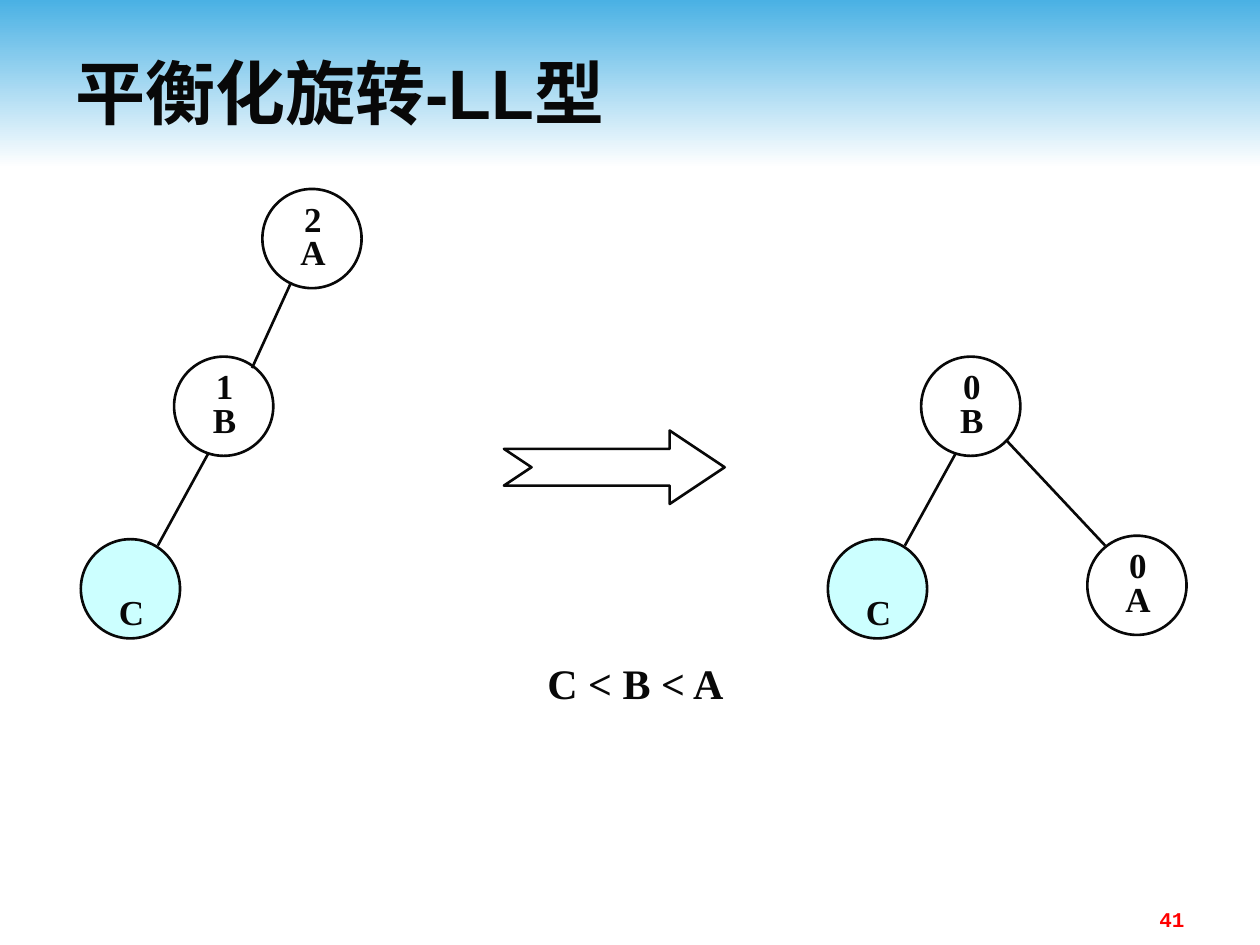
from lxml import etree
from pptx import Presentation
from pptx.dml.color import RGBColor
from pptx.enum.shapes import MSO_CONNECTOR, MSO_SHAPE
from pptx.enum.text import MSO_ANCHOR, PP_ALIGN
from pptx.oxml.ns import qn
from pptx.util import Cm, Pt

STRAIGHT = MSO_CONNECTOR.STRAIGHT
RECTANGLE, OVAL = MSO_SHAPE.RECTANGLE, MSO_SHAPE.OVAL
NOTCHED_ARROW = MSO_SHAPE.NOTCHED_RIGHT_ARROW
MIDDLE = MSO_ANCHOR.MIDDLE
LEFT, CENTER, RIGHT = PP_ALIGN.LEFT, PP_ALIGN.CENTER, PP_ALIGN.RIGHT

INK = RGBColor(0x08, 0x08, 0x08)
SKY = RGBColor(0x4A, 0xB1, 0xE4)
WHITE = RGBColor(0xFF, 0xFF, 0xFF)
RED = RGBColor(0xFF, 0x00, 0x00)
NEW_NODE = RGBColor(0xCC, 0xFF, 0xFF)

SERIF = "Times New Roman"
NODE_SIZE = 2
LABEL_LEFT, LABEL_WIDTH = 0.6, 0.84
LINE_PITCH = 0.67

# Nodes: key, balance factor (None for the inserted node), left, top.
# Edges: start x, start y, end x, end y. All in cm from the tree's corner.
UNBALANCED_NODES = [("A", "2", 3.66, 0), ("B", "1", 1.88, 3.38), ("C", None, 0, 7.06)]
UNBALANCED_EDGES = [(4.24, 1.88, 3.45, 3.61), (2.57, 5.33, 1.55, 7.19)]
BALANCED_NODES = [("A", "0", 5.23, 3.61), ("B", "0", 1.88, 0), ("C", None, 0, 3.68)]
BALANCED_EDGES = [(3.61, 1.7, 5.59, 3.81), (2.57, 1.96, 1.55, 3.81)]


def add_text(para, text, size, font_name, color=INK, align=CENTER):
    para.alignment = align
    span = para.add_run()
    span.text = text
    span.font.size = Pt(size)
    span.font.name = font_name
    span.font.bold = True
    span.font.color.rgb = color


def outline(shape, fill=None):
    shape.shadow.inherit = False
    shape.line.color.rgb = INK
    shape.line.width = Pt(1.5)
    if fill is None:
        shape.fill.background()
    else:
        shape.fill.solid()
        shape.fill.fore_color.rgb = fill


def add_header(page, text, width, height):
    """Fading band behind the slide's title."""
    band = page.shapes.add_shape(RECTANGLE, 0, 0, Cm(width), Cm(height))
    band.shadow.inherit = False
    band.line.fill.background()
    band.fill.gradient()
    band.fill.gradient_angle = 270
    for stop, color, position in zip(band.fill.gradient_stops, (SKY, WHITE), (0, 1)):
        stop.color.rgb = color
        stop.position = position
    page.shapes._spTree.insert(2, band._element)

    title = page.shapes.title
    title.left, title.top = Cm(1.27), Cm(0.64)
    title.width, title.height = Cm(width - 2 * 1.27), Cm(2.41)
    title.text_frame.vertical_anchor = MIDDLE
    add_text(title.text_frame.paragraphs[0], text, 40, "Arial", align=LEFT)


def add_node(page, key, balance, left, top):
    """Circle with the balance factor above the key; the new node has only a key."""
    group = page.shapes.add_group_shape()
    circle = group.shapes.add_shape(OVAL, Cm(left), Cm(top), Cm(NODE_SIZE), Cm(NODE_SIZE))
    outline(circle, NEW_NODE if balance is None else None)

    lines = [key] if balance is None else [balance, key]
    label_top = top + (1.19 if balance is None else 0.33)
    label = group.shapes.add_textbox(Cm(left + LABEL_LEFT), Cm(label_top),
                                     Cm(LABEL_WIDTH), Cm(LINE_PITCH * len(lines)))
    frame = label.text_frame
    frame.word_wrap = True
    frame.margin_left = frame.margin_right = frame.margin_top = frame.margin_bottom = 0
    for index, text in enumerate(lines):
        para = frame.add_paragraph() if index else frame.paragraphs[0]
        para.line_spacing = 0.8
        add_text(para, text, 20, SERIF)


def add_tree(page, left, top, nodes, edges):
    for key, balance, x, y in nodes:
        add_node(page, key, balance, left + x, top + y)
    for x1, y1, x2, y2 in edges:
        edge = page.shapes.add_connector(STRAIGHT, Cm(left + x1), Cm(top + y1),
                                         Cm(left + x2), Cm(top + y2))
        edge.line.color.rgb = INK
        edge.line.width = Pt(1.5)
        etree.SubElement(edge._element.spPr, qn("a:effectLst"))


def add_rotation_arrow(page, left, top, width, height):
    arrow = page.shapes.add_shape(NOTCHED_ARROW, Cm(left), Cm(top), Cm(width), Cm(height))
    arrow.adjustments[0] = 0.5
    arrow.adjustments[1] = 0.75
    outline(arrow)


def add_caption(page, left, top, width, height, text, size, font_name, color, align):
    box = page.shapes.add_textbox(Cm(left), Cm(top), Cm(width), Cm(height))
    box.text_frame.word_wrap = True
    add_text(box.text_frame.paragraphs[0], text, size, font_name, color, align)


def main():
    deck = Presentation()
    deck.slide_width, deck.slide_height = Cm(25.4), Cm(19.05)
    page = deck.slides.add_slide(deck.slide_layouts.get_by_name("Title Only"))
    add_header(page, "平衡化旋转-LL型", 25.4, 3.38)
    add_tree(page, 1.63, 3.81, UNBALANCED_NODES, UNBALANCED_EDGES)
    add_rotation_arrow(page, 10.16, 8.68, 4.45, 1.48)
    add_tree(page, 16.69, 7.19, BALANCED_NODES, BALANCED_EDGES)
    add_caption(page, 8.68, 13.13, 8.26, 1.27, "C < B < A", 24, SERIF, INK, CENTER)
    add_caption(page, 18.21, 18.16, 5.92, 0.69, "41", 12, "Courier New", RED, RIGHT)
    deck.save("out.pptx")


if __name__ == "__main__":
    main()
